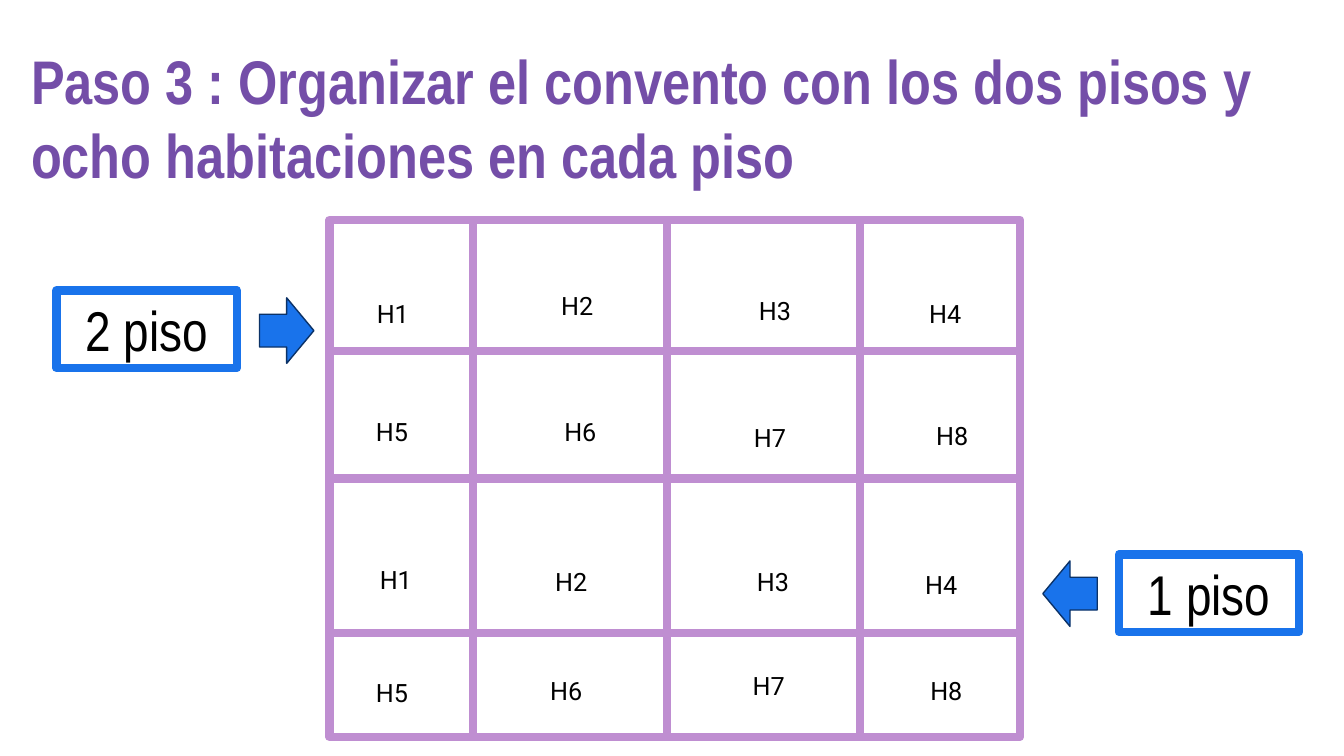
from dataclasses import dataclass

import pptx
import pptx.dml.color
import pptx.enum.shapes
import pptx.enum.text
import pptx.util
from lxml import etree
from pptx.util import Pt

SHAPE = pptx.enum.shapes.MSO_SHAPE
ALIGN = pptx.enum.text.PP_ALIGN
ANCHOR = pptx.enum.text.MSO_ANCHOR
DRAWING = "http://schemas.openxmlformats.org/drawingml/2006/main"


@dataclass(frozen=True)
class Theme:
    purple: str = "744EA8"
    lilac: str = "BF8ED1"
    blue: str = "1973EB"
    navy: str = "0B3267"
    black: str = "000000"
    white: str = "FFFFFF"
    heading_font: str = "Arial Narrow"
    room_font: str = "Roboto"
    title_size: int = 44
    floor_size: int = 40
    room_size: int = 18
    thick: int = 6
    thin: int = 1


THEME = Theme()

LEFT, TOP, WIDTH, HEIGHT = 235.4, 157, 493.2, 369.4
COLUMN_LINES = (337.7, 476.6, 614.2)
COLUMN_SPAN = (155.5, 524.9)
MIDDLE = TOP + HEIGHT / 2
ROW_LINES = (250.6, 452.2)

# Each row of rooms: label width, first room number, left and top of each label
ROOM_ROWS = (
    (50.4, 1, ((262.1, 209.5), (393.8, 203.8), (535, 207.4), (656.6, 209.5))),
    (50.4, 5, ((261.4, 293.8), (396, 293.8), (531.4, 298.1), (661.7, 296.6))),
    (59, 1, ((264.2, 399.6), (389.5, 401), (533.5, 401), (653.8, 403.2))),
    (59, 5, ((261.4, 480.2), (385.9, 478.8), (530.6, 475.2), (657.4, 478.8))),
)


def color(value):
    return pptx.dml.color.RGBColor.from_string(value)


def write(shape, text, font, size, ink, bold=False, align=ALIGN.LEFT):
    frame = shape.text_frame
    frame.word_wrap = True
    para = frame.paragraphs[0]
    para.text = text
    para.alignment = align
    para.font.name = font
    para.font.size = Pt(size)
    para.font.bold = bold
    para.font.color.rgb = color(ink)


def add_text(page, left, top, width, height, text, *style, **options):
    box = page.shapes.add_textbox(Pt(left), Pt(top), Pt(width), Pt(height))
    write(box, text, *style, **options)


def add_block(page, kind, left, top, width, height, fill, line, weight):
    block = page.shapes.add_shape(kind, Pt(left), Pt(top), Pt(width), Pt(height))
    block.shadow.inherit = False
    block.fill.solid()
    block.fill.fore_color.rgb = color(fill)
    block.line.color.rgb = color(line)
    block.line.width = Pt(weight)
    return block


def add_wall(page, x1, y1, x2, y2):
    wall = page.shapes.add_connector(
        pptx.enum.shapes.MSO_CONNECTOR.STRAIGHT, Pt(x1), Pt(y1), Pt(x2), Pt(y2))
    wall.line.color.rgb = color(THEME.lilac)
    wall.line.width = Pt(THEME.thick)
    etree.SubElement(wall._element.spPr, f"{{{DRAWING}}}effectLst")
    return wall


def add_building(page):
    building = add_block(page, SHAPE.RECTANGLE, LEFT, TOP, WIDTH, HEIGHT,
                         THEME.white, THEME.lilac, THEME.thick)
    floor_divider = add_wall(page, LEFT, MIDDLE, LEFT + WIDTH, MIDDLE)
    floor_divider.begin_connect(building, 1)
    floor_divider.end_connect(building, 3)
    for y in ROW_LINES:
        add_wall(page, LEFT, y, LEFT + WIDTH, y)
    for x in COLUMN_LINES:
        add_wall(page, x, COLUMN_SPAN[0], x, COLUMN_SPAN[1])


def add_rooms(page):
    for width, first, places in ROOM_ROWS:
        for number, (left, top) in enumerate(places, first):
            add_text(page, left, top, width, 29, f"H{number}",
                     THEME.room_font, THEME.room_size, THEME.black)


def add_floor_tag(page, text, left, top, arrow_left, arrow_top, rotation):
    tag = add_block(page, SHAPE.RECTANGLE, left, top, 128.9, 55.4,
                    THEME.white, THEME.blue, THEME.thick)
    tag.text_frame.vertical_anchor = ANCHOR.MIDDLE
    write(tag, text, THEME.heading_font, THEME.floor_size, THEME.black,
          align=ALIGN.CENTER)
    arrow = add_block(page, SHAPE.DOWN_ARROW, arrow_left, arrow_top, 46.8, 38.9,
                      THEME.blue, THEME.navy, THEME.thin)
    arrow.rotation = rotation


def main():
    deck = pptx.Presentation()
    deck.slide_width, deck.slide_height = Pt(960), Pt(540)
    page = deck.slides.add_slide(deck.slide_layouts[6])
    add_text(page, 15.1, 27.4, 892.8, 295.9,
             "Paso 3 : Organizar el convento con los dos pisos y "
             "ocho habitaciones en cada piso",
             THEME.heading_font, THEME.title_size, THEME.purple, bold=True)
    add_building(page)
    add_floor_tag(page, "1 piso", 799.2, 396, 740.9, 404.6, 90)
    add_floor_tag(page, "2 piso", 40.3, 207.4, 181.4, 216.7, 270)
    add_rooms(page)
    deck.save("out.pptx")


if __name__ == "__main__":
    main()
